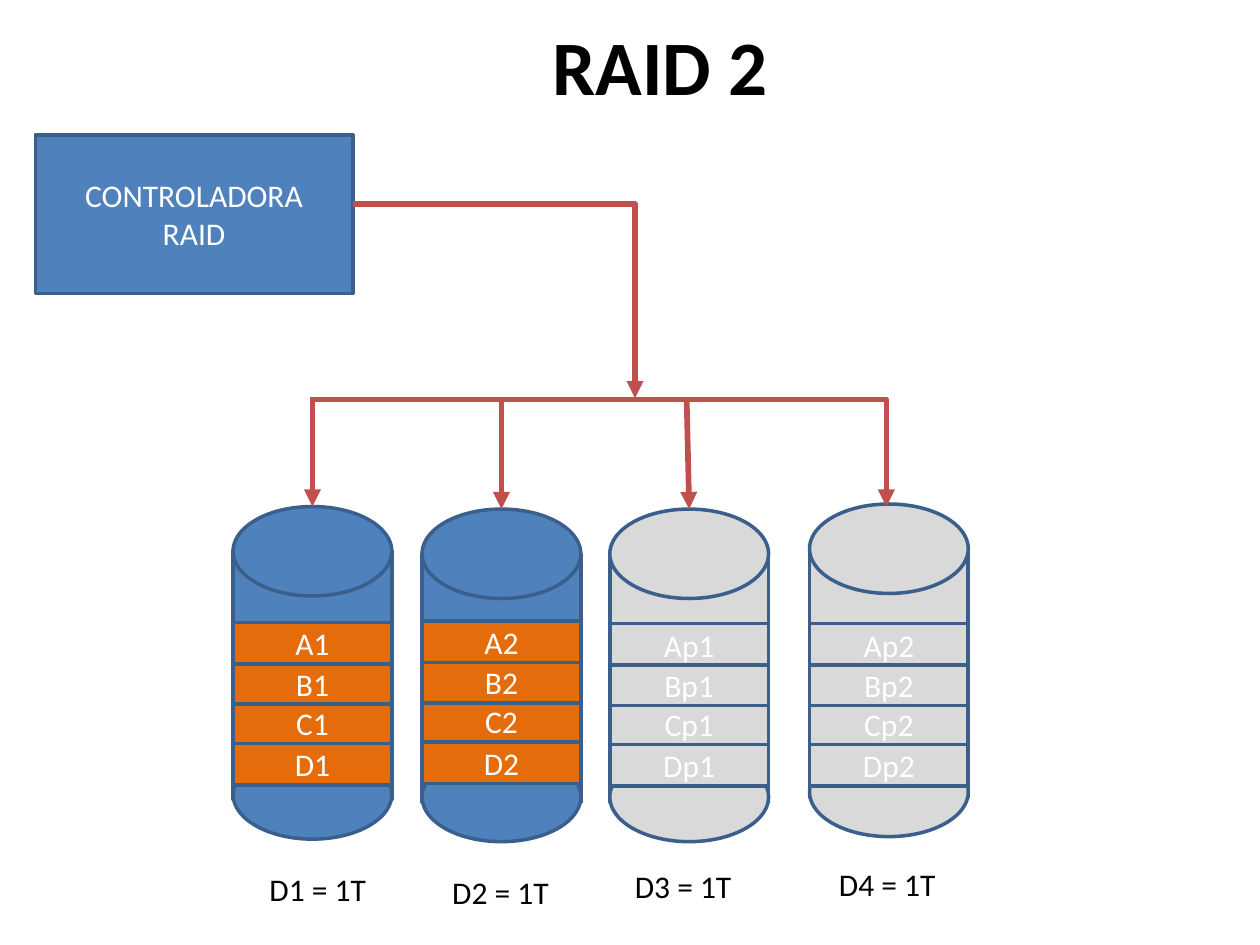
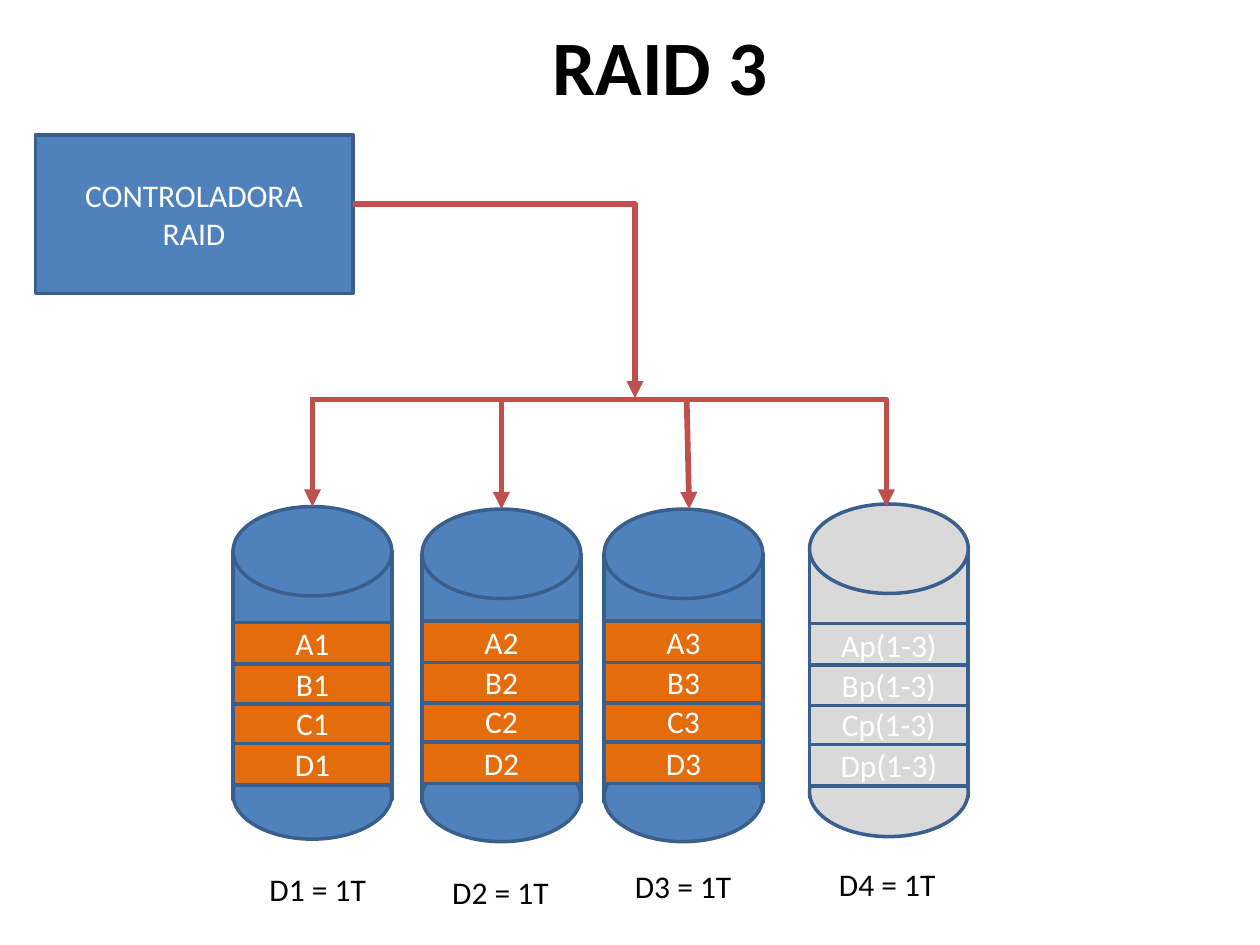
from collections import namedtuple
from dataclasses import dataclass

from pptx import Presentation
from pptx.dml.color import RGBColor
from pptx.enum.shapes import MSO_CONNECTOR, MSO_SHAPE
from pptx.enum.text import MSO_ANCHOR, MSO_AUTO_SIZE, PP_ALIGN
from pptx.oxml.ns import qn
from pptx.oxml.xmlchemy import OxmlElement
from pptx.util import Inches, Pt

RECT, OVAL = MSO_SHAPE.RECTANGLE, MSO_SHAPE.OVAL
STRAIGHT, ELBOW = MSO_CONNECTOR.STRAIGHT, MSO_CONNECTOR.ELBOW
CENTER, LEFT = PP_ALIGN.CENTER, PP_ALIGN.LEFT
MIDDLE, TOP = MSO_ANCHOR.MIDDLE, MSO_ANCHOR.TOP
FIT_SHAPE = MSO_AUTO_SIZE.SHAPE_TO_FIT_TEXT


@dataclass(frozen=True)
class Theme:
    font: str = "Calibri"
    text: str = "000000"
    light: str = "FFFFFF"
    blue: str = "4F81BD"
    outline: str = "3A5F8C"
    orange: str = "E46C0A"
    grey: str = "D9D9D9"
    arrow: str = "C0504D"
    title_size: float = 44
    body_size: float = 18
    outline_width: float = 2
    arrow_width: float = 3.25


T = Theme()
Box = namedtuple("Box", "x y w h")
Disk = namedtuple("Disk", "box stack_y blocks parity")

# Grid of 100 columns and 75 rows
SLIDE_W, SLIDE_H = Inches(10), Inches(7.5)
COL, ROW = SLIDE_W / 100, SLIDE_H / 75

TITLE = Box(9.1, -1.1, 86.6, 12.5)
CONTROLLER = Box(2.8, 10.7, 25.2, 12.6)
DISK_W, DISK_H = 12.6, 26.4
CAP_H, BODY_H, BLOCK_H = 7.1, 19.7, 3.3
BLOCK_STEPS = (0, 3.2, 6.3, 9.6)
BLOCK_ORDER = (2, 1, 0, 3)  # upper blocks overlap the one below
LABELS = [(20.4, 68.6), (34.9, 68.8), (49.4, 68.3), (65.6, 68.2)]
LABEL_W, LABEL_H = 9.8, 4


def grid(x, y, w, h):
    return [int(v) for v in (x * COL, y * ROW, w * COL, h * ROW)]


def add_text(tf, text, size, color, bold=False, align=CENTER, anchor=MIDDLE):
    tf.vertical_anchor = anchor
    p = tf.paragraphs[0]
    p.alignment = align
    r = p.add_run()
    r.text = text
    r.font.name, r.font.size, r.font.bold = T.font, Pt(size), bold
    r.font.color.rgb = RGBColor.from_string(color)


def add_block(shapes, kind, box, fill, text=None):
    sp = shapes.add_shape(kind, *grid(*box))
    sp.shadow.inherit = False
    sp.fill.solid()
    sp.fill.fore_color.rgb = RGBColor.from_string(fill)
    sp.line.color.rgb = RGBColor.from_string(T.outline)
    sp.line.width = Pt(T.outline_width)
    if text:
        sp.text_frame.word_wrap = True
        add_text(sp.text_frame, text, T.body_size, T.light)
    return sp


def add_arrow(s, start, end, kind=ELBOW):
    ends = [int(v) for x, y in (start, end) for v in (x * COL, y * ROW)]
    cx = s.shapes.add_connector(kind, *ends)
    cx.line.color.rgb = RGBColor.from_string(T.arrow)
    cx.line.width = Pt(T.arrow_width)
    sp_pr = cx._element.spPr
    if kind == ELBOW:  # a single bend: across, then down
        sp_pr.find(qn("a:prstGeom")).set("prst", "bentConnector2")
    head = OxmlElement("a:tailEnd")
    head.set("type", "triangle")
    sp_pr.find(qn("a:ln")).append(head)
    sp_pr.append(OxmlElement("a:effectLst"))


def add_title(s, box, text):
    tf = s.shapes.add_textbox(*grid(*box)).text_frame
    tf.word_wrap = True
    add_text(tf, text, T.title_size, T.text, bold=True)


def add_controller(s, box):
    sp = add_block(s.shapes, RECT, box, T.blue, "CONTROLADORA RAID")
    sp.text_frame.margin_left = sp.text_frame.margin_right = Inches(0.25)


def add_disk(s, disk):
    x, y, w, h = disk.box
    body_fill = T.grey if disk.parity else T.blue
    block_fill = T.grey if disk.parity else T.orange
    shapes = s.shapes.add_group_shape().shapes
    # Cylinder
    add_block(shapes, RECT, Box(x, y + CAP_H / 2, w, BODY_H), body_fill)
    for cap_y in (y, y + h - CAP_H):
        add_block(shapes, OVAL, Box(x, cap_y, w, CAP_H), body_fill)
    # Stored blocks
    for i in BLOCK_ORDER:
        box = Box(x, disk.stack_y + BLOCK_STEPS[i], w, BLOCK_H)
        add_block(shapes, RECT, box, block_fill, disk.blocks[i])


def add_bus(s, controller):
    bus_y = 31.7
    # Controller to bus
    add_arrow(s, (controller.x + controller.w, 16.2), (50.4, 31.6))
    # Bus to disks
    add_arrow(s, (25, bus_y), (39.8, 40.4))
    add_arrow(s, (24.8, 31.5), (24.8, 40.2), STRAIGHT)
    add_arrow(s, (39.8, bus_y), (70.35, 40.2))
    add_arrow(s, (54.5, 31.8), (54.7, 40.4), STRAIGHT)


def add_labels(s):
    for n, (x, y) in enumerate(LABELS, 1):
        tf = s.shapes.add_textbox(*grid(x, y, LABEL_W, LABEL_H)).text_frame
        tf.word_wrap = False
        tf.auto_size = FIT_SHAPE
        add_text(tf, f"D{n} = 1T", T.body_size, T.text, align=LEFT, anchor=TOP)


def make_disk(x, y, stack_y, suffix, parity=False):
    blocks = [letter + suffix for letter in "ABCD"]
    return Disk(Box(x, y, DISK_W, DISK_H), stack_y, blocks, parity)


def add_raid_slide(prs, title, disks):
    s = prs.slides.add_slide(prs.slide_layouts[6])
    add_title(s, TITLE, title)
    add_controller(s, CONTROLLER)
    for disk in disks:
        add_disk(s, disk)
    add_labels(s)
    add_bus(s, CONTROLLER)


def main():
    prs = Presentation()
    prs.slide_width, prs.slide_height = SLIDE_W, SLIDE_H
    data_disks = [make_disk(18.5, 40.2, 49.4, "1"),
                  make_disk(33.5, 40.4, 49.3, "2")]
    add_raid_slide(prs, "RAID 2", data_disks + [
        make_disk(48.4, 40.4, 49.5, "p1", parity=True),
        make_disk(64.25, 40, 49.5, "p2", parity=True)])
    add_raid_slide(prs, "RAID 3", data_disks + [
        make_disk(47.95, 40.4, 49.3, "3"),
        make_disk(64.25, 40, 49.5, "p(1-3)", parity=True)])
    prs.save("out.pptx")


if __name__ == "__main__":
    main()
